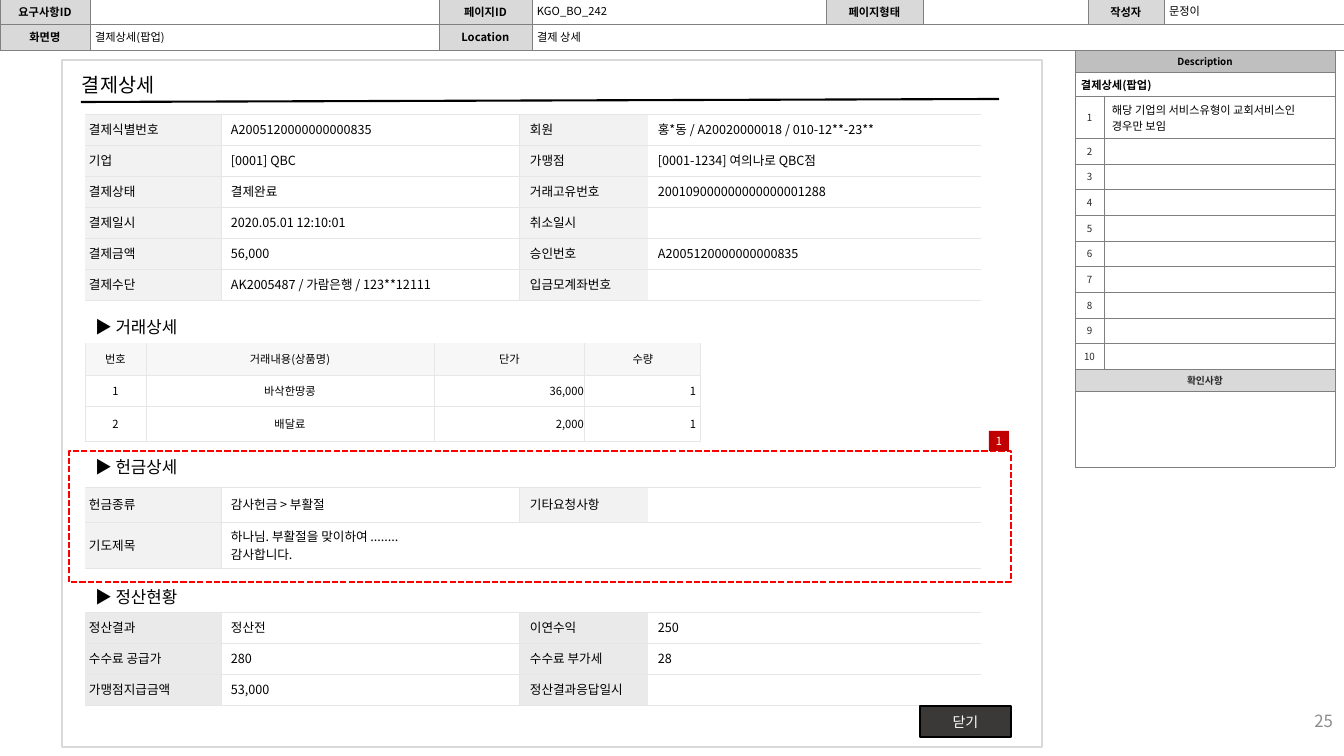
"""Build the payment detail popup page of a screen plan."""
from lxml.etree import SubElement
from pptx import Presentation
from pptx.dml.color import RGBColor
from pptx.enum.dml import MSO_LINE
from pptx.enum.shapes import MSO_CONNECTOR, MSO_SHAPE
from pptx.enum.text import MSO_ANCHOR, PP_ALIGN
from pptx.oxml.ns import qn
from pptx.util import Pt

PX = 9071
FONT = "Noto Sans CJK KR"
PLAIN = "{2D5ABB26-0587-4C30-8999-92F81FD0307C}"
BLACK = RGBColor(0, 0, 0)
WHITE = RGBColor(255, 255, 255)
COAL = RGBColor(0x3B, 0x38, 0x38)
DARK = RGBColor(0x29, 0x29, 0x29)
GRAY = RGBColor(0x8C, 0x8C, 0x8C)
RULE = RGBColor(0x80, 0x80, 0x80)
EDGE = RGBColor(0x7F, 0x7F, 0x7F)
STEEL = RGBColor(0xBF, 0xBF, 0xBF)
SILVER = RGBColor(0xD9, 0xD9, 0xD9)
MIST = RGBColor(0xE7, 0xE6, 0xE6)
HAZE = RGBColor(0xE7, 0xE7, 0xE7)
ASH = RGBColor(0xEA, 0xEA, 0xEA)
PALE = RGBColor(0xF2, 0xF2, 0xF2)
SNOW = RGBColor(0xF7, 0xF7, 0xF7)
RED = RGBColor(255, 0, 0)
BRICK = RGBColor(0xC0, 0, 0)
LEFT, MID, RIGHT = PP_ALIGN.LEFT, PP_ALIGN.CENTER, PP_ALIGN.RIGHT


def write(box, body, words, size, tint=BLACK, align=LEFT, pad=(10, 5), bold=False):
    """Put styled words into a cell or a text frame."""
    body.text = words
    body.word_wrap = True
    box.vertical_anchor = MSO_ANCHOR.MIDDLE
    box.margin_left = box.margin_right = pad[0] * PX
    box.margin_top = box.margin_bottom = pad[1] * PX
    for line in body.paragraphs:
        line.alignment = align
        font = line.font
        font.size, font.bold, font.name = Pt(size), bold, FONT
        font.color.rgb = tint
        SubElement(font._rPr, qn("a:ea"), typeface=FONT)


def grid(left, top, wide, tall, rows, size, pad, ink, width, sides):
    """Add a ruled table; None joins a cell to the one before it."""
    frame = slide.shapes.add_table(len(tall), len(wide), left * PX, top * PX,
                                   sum(wide) * PX, sum(tall) * PX)
    table = frame.table
    table.first_row = table.horz_banding = False
    table._tbl.tblPr.find(qn("a:tableStyleId")).text = PLAIN
    for col, span in zip(table.columns, wide):
        col.width = span * PX
    for i, row in enumerate(rows):
        table.rows[i].height = tall[i] * PX
        for j, words in enumerate(row):
            cell = table.cell(i, j)
            write(cell, cell.text_frame, words or "", size, pad=pad)
            props = cell._tc.get_or_add_tcPr()
            for side in sides[j]:
                rule = SubElement(props, qn("a:ln" + side), w=str(Pt(width)))
                paint = SubElement(rule, qn("a:solidFill"))
                SubElement(paint, qn("a:srgbClr"), val=str(ink))
            cell.fill.background()
        for j, words in enumerate(row):
            end = j
            while end + 1 < len(row) and row[end + 1] is None:
                end += 1
            if words is not None and end > j:
                table.cell(i, j).merge(table.cell(i, end))
    return table


deck = Presentation()
deck.slide_width, deck.slide_height = 1344 * PX, 756 * PX
slide = deck.slides.add_slide(deck.slide_layouts[6])

top = [["요구사항ID", "", "페이지ID", "", "페이지형태", "", "작성자", ""],
       ["화면명", "", "Location", "", None, None, None, None]]
head = grid(0, -1, [90, 349, 93, 294, 97, 165, 76, 182], [25, 26], top,
            8, (0, 0), RULE, 0.25, ["LRTB"] * 8)
for i, row in enumerate(top):
    for j, words in enumerate(row):
        if words:
            cell = head.cell(i, j)
            write(cell, cell.text_frame, words, 8, align=MID, pad=(0, 0), bold=True)
            cell.fill.solid()
            cell.fill.fore_color.rgb = SILVER

for x, y, wide, words in [(533, 0, 294, "KGO_BO_242"), (533, 26, 811, "결제 상세"),
                          (1165, 0, 178, "문정이"), (91, 26, 345, "결제상세(팝업)")]:
    body = slide.shapes.add_textbox(x * PX, y * PX, wide * PX, 24 * PX).text_frame
    write(body, body, words, 8, pad=(4, 0))
    body.paragraphs[0].line_spacing = 0.9

body = slide.shapes.add_textbox(1041 * PX, 701 * PX, 302 * PX, 40 * PX).text_frame
write(body, body, "25", 12, GRAY, RIGHT)

notes = [["Description", None], ["결제상세(팝업)", None],
         ["1", "해당 기업의 서비스유형이 교회서비스인 경우만 보임"]]
notes += [[str(n), ""] for n in range(2, 11)]
notes += [["확인사항", None], ["", None]]
side = grid(1075, 50, [29, 231], [22, 24, 42] + [26, 25, 26] * 3 + [22, 76], notes,
            8, (6, 4), EDGE, 0.25, ["LRTB"] * 2)
for i in range(2, 12):
    cell = side.cell(i, 0)
    write(cell, cell.text_frame, notes[i][0], 7, DARK, MID, (6, 4))
for i, tint, fill in [(0, BLACK, STEEL), (12, DARK, SILVER)]:
    cell = side.cell(i, 0)
    write(cell, cell.text_frame, notes[i][0], 7, tint, MID, (6, 4), True)
    cell.fill.solid()
    cell.fill.fore_color.rgb = fill
side.cell(1, 0).text_frame.paragraphs[0].font.bold = True
cell = side.cell(2, 1)
write(cell, cell.text_frame, notes[2][1], 8, pad=(8, 5))

pay = [["결제식별번호", "A2005120000000000835", "회원", "홍*동 / A20020000018 / 010-12**-23**"],
       ["기업", "[0001] QBC", "가맹점", "[0001-1234] 여의나로 QBC점"],
       ["결제상태", "결제완료", "거래고유번호", "200109000000000000001288"],
       ["결제일시", "2020.05.01 12:10:01", "취소일시", ""],
       ["결제금액", "56,000", "승인번호", "A2005120000000000835"],
       ["결제수단", "AK2005487 / 가람은행 / 123**12111", "입금모계좌번호", ""]]
gift = [["헌금종류", "감사헌금 > 부활절", "기타요청사항", ""],
        ["기도제목", "하나님. 부활절을 맞이하여 ........\n감사합니다.", None, None]]
close = [["정산결과", "정산전", "이연수익", "250"],
         ["수수료 공급가", "280", "수수료 부가세", "28"],
         ["가맹점지급금액", "53,000", "정산결과응답일시", ""]]
for y, tall, rows, shade in [(114, [31] * 6, pay, PALE), (487, [35, 46], gift, PALE),
                             (612, [31] * 3, close, ASH)]:
    table = grid(85, y, [136, 299, 128, 333], tall, rows, 9, (10, 5),
                 MIST, 0.75, ["TB", "LTB", "TB", "TB"])
    for i, row in enumerate(rows):
        table.cell(i, 0).margin_left = table.cell(i, 0).margin_right = 4 * PX
        for j, words in enumerate(row):
            if words is not None:
                fill = table.cell(i, j).fill
                fill.solid()
                fill.fore_color.rgb = WHITE if j % 2 else shade

goods = [["번호", "거래내용(상품명)", "단가", "수량"],
         ["1", "바삭한땅콩", "36,000", "1"], ["2", "배달료", "2,000", "1"]]
table = grid(85, 343, [61, 288, 151, 116], [32, 31, 35], goods, 8, (1, 1),
             HAZE, 0.75, ["LRB"] * 4)
for i in range(3):
    for j in range(4):
        cell = table.cell(i, j)
        cell.text_frame.paragraphs[0].alignment = RIGHT if i and j > 1 else MID
        if i == 0:
            cell.fill.solid()
            cell.fill.fore_color.rgb = SNOW
    cell.margin_left = cell.margin_right = 5 * PX

for x, y, tall, size, words in [(72, 68, 34, 14, "결제상세"), (85, 312, 30, 12, "▶ 거래상세"),
                                (85, 452, 30, 12, "▶ 헌금상세"), (85, 582, 30, 12, "▶ 정산현황")]:
    body = slide.shapes.add_textbox(x * PX, y * PX, 158 * PX, tall * PX).text_frame
    write(body, body, words, size)
    body.vertical_anchor = MSO_ANCHOR.TOP

line = slide.shapes.add_connector(MSO_CONNECTOR.STRAIGHT, 81 * PX, 102 * PX, 999 * PX, 99 * PX)
line.line.color.rgb = BLACK
line.line.width = Pt(1.5)
SubElement(line._element.spPr, qn("a:effectLst"))

for x, y, wide, tall, fill, ink, width, dash, size, words in [
        (62, 60, 980, 687, None, SILVER, 1, None, 8, ""),
        (920, 706, 91, 31, COAL, BLACK, 1, None, 10, "닫기"),
        (69, 451, 942, 131, None, RED, 1.5, MSO_LINE.SQUARE_DOT, 8, ""),
        (989, 431, 20, 20, BRICK, None, 0, None, 8, "1")]:
    shape = slide.shapes.add_shape(MSO_SHAPE.RECTANGLE, x * PX, y * PX, wide * PX, tall * PX)
    shape.shadow.inherit = False
    shape.fill.background()
    shape.line.fill.background()
    if fill:
        shape.fill.solid()
        shape.fill.fore_color.rgb = fill
    if ink:
        shape.line.color.rgb = ink
        shape.line.width = Pt(width)
        shape.line.dash_style = dash
    if words:
        body = shape.text_frame
        write(body, body, words, size, WHITE, MID, (0, 4))

deck.save("out.pptx")
